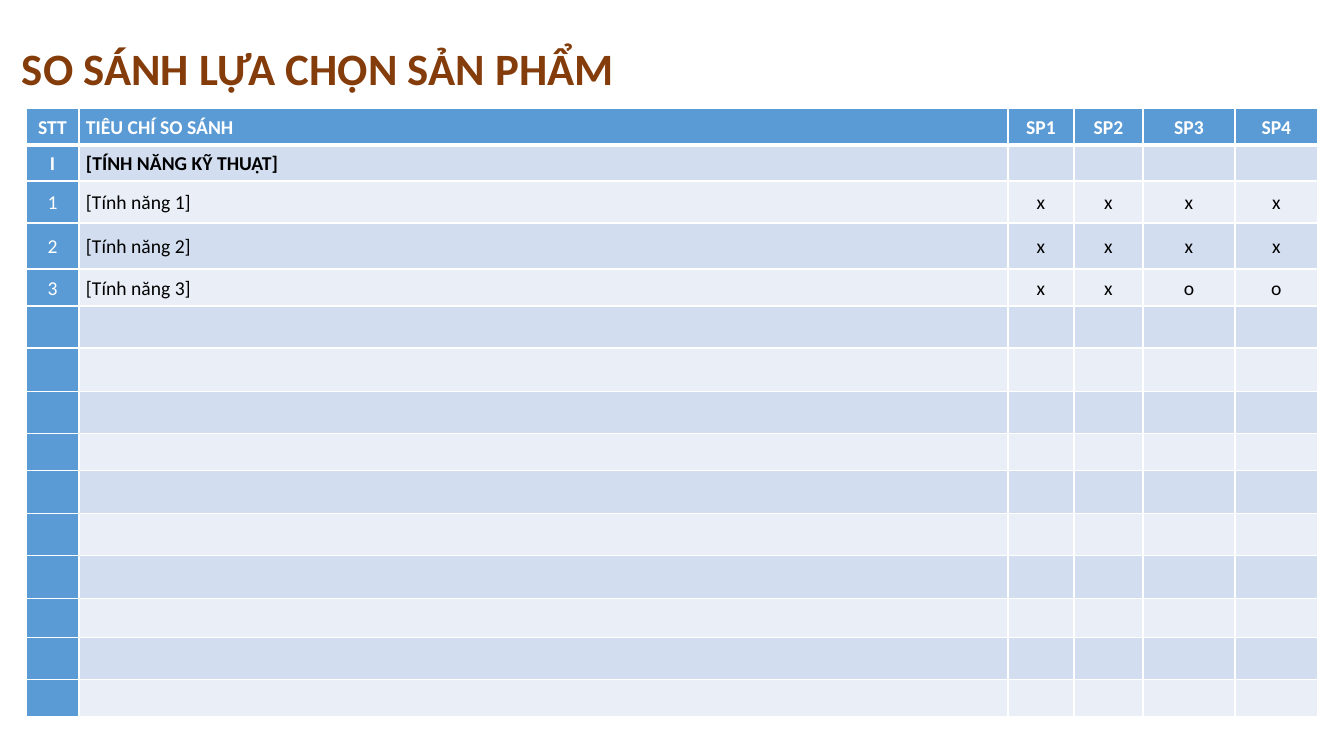
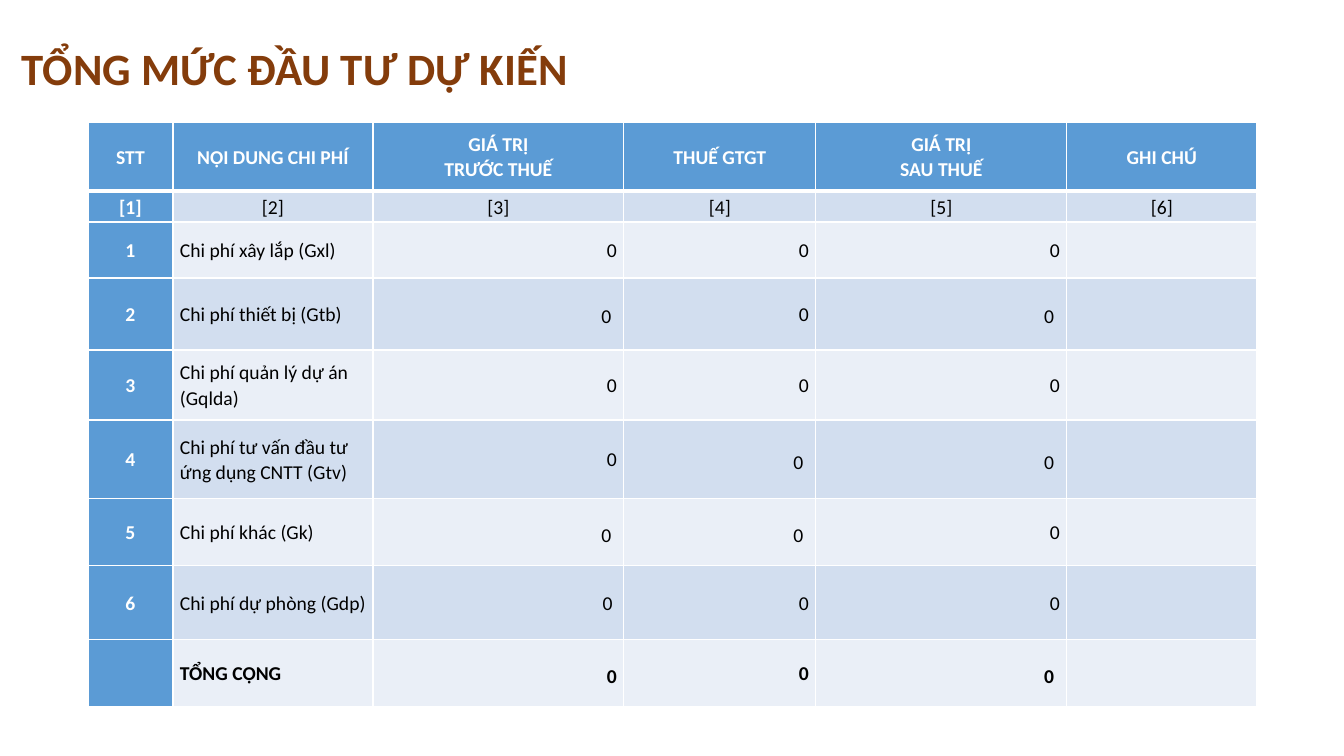
from dataclasses import dataclass
from itertools import pairwise

from lxml.etree import SubElement, Element
from pptx import Presentation
from pptx.dml.color import RGBColor
from pptx.enum.text import MSO_ANCHOR, PP_ALIGN
from pptx.oxml.ns import qn
from pptx.util import Inches, Pt

# Content: edges are pixel positions of the grid lines
# In number cells a plain space is set in the larger spacer size
SLIDES = [
    dict(
        title="SO SÁNH LỰA CHỌN SẢN PHẨM", title_width=1020,
        x_edges=[26, 79, 1008, 1074, 1143, 1235, 1318],
        y_edges=[108, 145, 181, 223, 269, 306, 348, 392, 434, 471, 514, 556,
                 599, 638, 680, 717],
        aligns="clcccc", centred_rows=0, bold_rows={0, 1}, bold_cols=set(),
        rows=[
            ["STT", "TIÊU CHÍ SO SÁNH", "SP1", "SP2", "SP3", "SP4"],
            ["I", "[TÍNH NĂNG KỸ THUẬT]"],
            ["1", "[Tính năng 1]", "x", "x", "x", "x"],
            ["2", "[Tính năng 2]", "x", "x", "x", "x"],
            ["3", "[Tính năng 3]", "x", "x", "o", "o"],
        ],
    ),
    dict(
        title="TỔNG MỨC ĐẦU TƯ DỰ KIẾN", title_width=742,
        x_edges=[88, 173, 373, 624, 816, 1067, 1257],
        y_edges=[122, 191, 222, 278, 350, 420, 499, 566, 640, 707],
        aligns="clrrrl", centred_rows=2, bold_rows={0, 8}, bold_cols={0},
        rows=[
            ["STT", "NỘI DUNG CHI PHÍ", "GIÁ TRỊ\vTRƯỚC THUẾ", "THUẾ GTGT",
             "GIÁ TRỊ\vSAU THUẾ", "GHI CHÚ"],
            ["[1]", "[2]", "[3]", "[4]", "[5]", "[6]"],
            ["1", "Chi phí xây lắp (Gxl)", "0", "0", "0"],
            ["2", "Chi phí thiết bị (Gtb)", "0 ", "0", "0 "],
            ["3", "Chi phí quản lý dự án (Gqlda)", "0", "0", "0"],
            ["4", "Chi phí tư vấn đầu tư ứng dụng CNTT (Gtv)", "0", "0 ", "0 "],
            ["5", "Chi phí khác (Gk)", "0 ", "0 ", "0"],
            ["6", "Chi phí dự phòng (Gdp)", "0\u00a0", "0", "0"],
            ["", "TỔNG CỘNG", " 0", "0", "0 "],
        ],
    ),
]


@dataclass(frozen=True)
class Theme:
    font: str = "Calibri"
    title: str = "843C0B"
    accent: str = "5B9BD5"
    bands: tuple = ("EAEFF7", "D2DEEF")
    light: str = "FFFFFF"
    dark: str = "000000"
    title_size: int = 32
    body_size: int = 14
    spacer_size: int = 18
    line_spacing: float = 1.07


THEME = Theme()
ALIGN = {"l": PP_ALIGN.LEFT, "c": PP_ALIGN.CENTER, "r": PP_ALIGN.RIGHT}


def px(n):
    return round(n * Inches(1) / 100.8)


def style(r, size, color, bold):
    r.font.name, r.font.size, r.font.bold = THEME.font, Pt(size), bold
    r.font.color.rgb = RGBColor.from_string(color)


def add_title(s, text, width):
    tf = s.shapes.add_textbox(0, px(45), px(width), px(46)).text_frame
    tf.word_wrap = True
    tf.vertical_anchor = MSO_ANCHOR.MIDDLE
    tf.margin_left = tf.margin_right = tf.margin_top = tf.margin_bottom = px(10)
    p = tf.paragraphs[0]
    p.text = text
    p._p.get_or_add_pPr().set("indent", str(px(12)))
    style(p.runs[0], THEME.title_size, THEME.title, True)


def set_borders(cell, widths):
    tc_pr = cell._tc.get_or_add_tcPr()
    for i, (side, width) in enumerate(widths.items()):
        ln = Element(qn(f"a:ln{side}"), w=str(Pt(width)))
        fill = SubElement(ln, qn("a:solidFill"))
        SubElement(fill, qn("a:srgbClr"), val=THEME.light)
        tc_pr.insert(i, ln)


def fill_cell(cell, text, row, col, spec):
    on_accent = row == 0 or col == 0
    cell.fill.solid()
    cell.fill.fore_color.rgb = RGBColor.from_string(
        THEME.accent if on_accent else THEME.bands[row % 2])
    set_borders(cell, {"L": 1, "R": 1, "T": 3 if row == 1 else 1,
                       "B": 3 if row == 0 else 1})
    cell.vertical_anchor = MSO_ANCHOR.MIDDLE
    cell.margin_left = cell.margin_right = px(7)
    cell.margin_top = cell.margin_bottom = 0

    p = cell.text_frame.paragraphs[0]
    align = "c" if row < spec["centred_rows"] else spec["aligns"][col]
    p.alignment, p.line_spacing = ALIGN[align], THEME.line_spacing
    if align == "r":
        for char in text:
            p.add_run().text = char
    else:
        p.text = text
    bold = row in spec["bold_rows"] or col in spec["bold_cols"]
    for r in p.runs:
        spacer = r.text == " "
        style(r, THEME.spacer_size if spacer else THEME.body_size,
              THEME.light if on_accent else THEME.dark, bold or spacer)


def add_grid(s, spec):
    xs, ys = spec["x_edges"], spec["y_edges"]
    table = s.shapes.add_table(
        len(ys) - 1, len(xs) - 1, px(xs[0]), px(ys[0]),
        px(xs[-1] - xs[0]), px(ys[-1] - ys[0])).table
    table.first_row = table.horz_banding = False
    for column, (a, b) in zip(table.columns, pairwise(xs)):
        column.width = px(b - a)
    for row, (a, b) in zip(table.rows, pairwise(ys)):
        row.height = px(b - a)
    for i in range(len(ys) - 1):
        texts = spec["rows"][i] if i < len(spec["rows"]) else []
        for j in range(len(xs) - 1):
            text = texts[j] if j < len(texts) else ""
            fill_cell(table.cell(i, j), text, i, j, spec)


# Build the slides
prs = Presentation()
prs.slide_width, prs.slide_height = px(1344), px(756)
for spec in SLIDES:
    s = prs.slides.add_slide(prs.slide_layouts[6])
    add_title(s, spec["title"], spec["title_width"])
    add_grid(s, spec)
prs.save("out.pptx")
